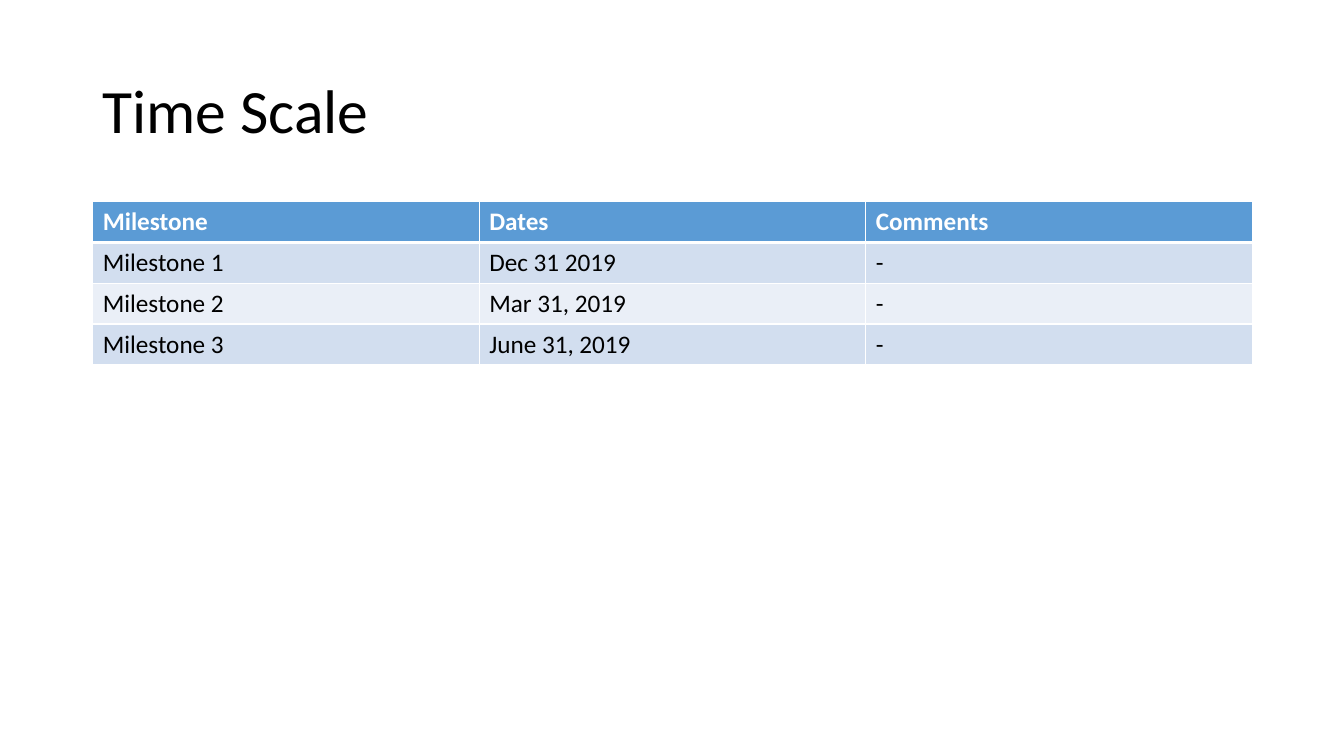
from dataclasses import dataclass

from lxml import etree
from pptx import Presentation
from pptx import util as u
from pptx.dml.color import RGBColor
from pptx.enum import text
from pptx.oxml import ns


@dataclass(frozen=True)
class Theme:
    font: str = "Calibri"
    ink: str = "000000"
    white: str = "FFFFFF"
    header: str = "5B9BD5"
    bands: tuple = ("D2DEEF", "EAEFF7")
    title_size: int = 44
    body_size: int = 18
    rule: int = 1
    header_rule: int = 3


class SlideBuilder:
    def __init__(self, slide, theme):
        self.slide = slide
        self.theme = theme

    def add_words(self, paragraph, words, size, color, bold=False):
        run = paragraph.add_run()
        run.text = words
        run.font.name = self.theme.font
        run.font.size = u.Pt(size)
        run.font.bold = bold
        run.font.color.rgb = RGBColor.from_string(color)

    def add_title(self, words, left, top, width, height):
        box = self.slide.shapes.add_textbox(*map(u.Inches, (left, top, width, height)))
        frame = box.text_frame
        frame.word_wrap = True
        frame.vertical_anchor = text.MSO_ANCHOR.MIDDLE
        heading = frame.paragraphs[0]
        heading.line_spacing = 0.9
        self.add_words(heading, words, self.theme.title_size, self.theme.ink)

    def add_border(self, cell, side, points):
        properties = cell._tc.get_or_add_tcPr()
        line = etree.SubElement(properties, ns.qn(f"a:ln{side}"), w=str(u.Pt(points)))
        fill = etree.SubElement(line, ns.qn("a:solidFill"))
        etree.SubElement(fill, ns.qn("a:srgbClr"), val=self.theme.white)

    def add_table(self, rows, left, top, width, height):
        theme = self.theme
        frame = self.slide.shapes.add_table(
            len(rows), len(rows[0]), *map(u.Inches, (left, top, width, height))
        )
        for r, row in enumerate(rows):
            is_header = r == 0
            background = theme.header if is_header else theme.bands[(r - 1) % 2]
            color = theme.white if is_header else theme.ink
            top_rule = theme.header_rule if r == 1 else theme.rule
            bottom_rule = theme.header_rule if is_header else theme.rule
            for c, words in enumerate(row):
                cell = frame.table.cell(r, c)
                for side, points in zip("LRTB", (theme.rule, theme.rule, top_rule, bottom_rule)):
                    self.add_border(cell, side, points)
                cell.fill.solid()
                cell.fill.fore_color.rgb = RGBColor.from_string(background)
                self.add_words(cell.text_frame.paragraphs[0], words, theme.body_size, color, is_header)


MILESTONES = [
    ("Milestone", "Dates", "Comments"),
    ("Milestone 1", "Dec 31 2019", "-"),
    ("Milestone 2", "Mar 31, 2019", "-"),
    ("Milestone 3", "June 31, 2019", "-"),
]
LEFT, WIDTH = 0.92, 11.5

deck = Presentation()
deck.slide_width, deck.slide_height = u.Inches(13.33), u.Inches(7.5)
time_scale = SlideBuilder(deck.slides.add_slide(deck.slide_layouts[6]), Theme())
time_scale.add_title("Time Scale", LEFT, 0.4, WIDTH, 1.45)
time_scale.add_table(MILESTONES, LEFT, 2, WIDTH, 1.62)
deck.save("out.pptx")
